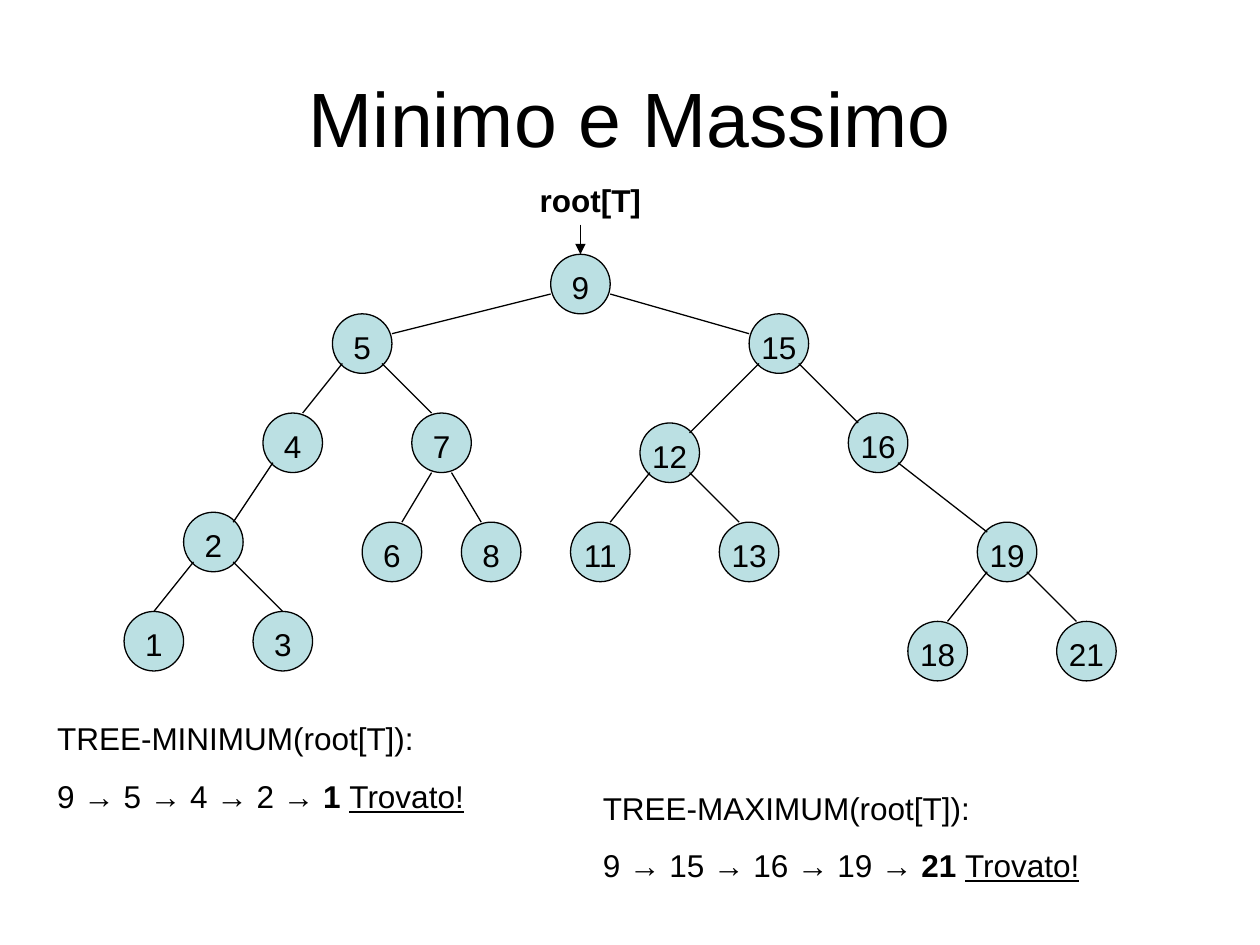
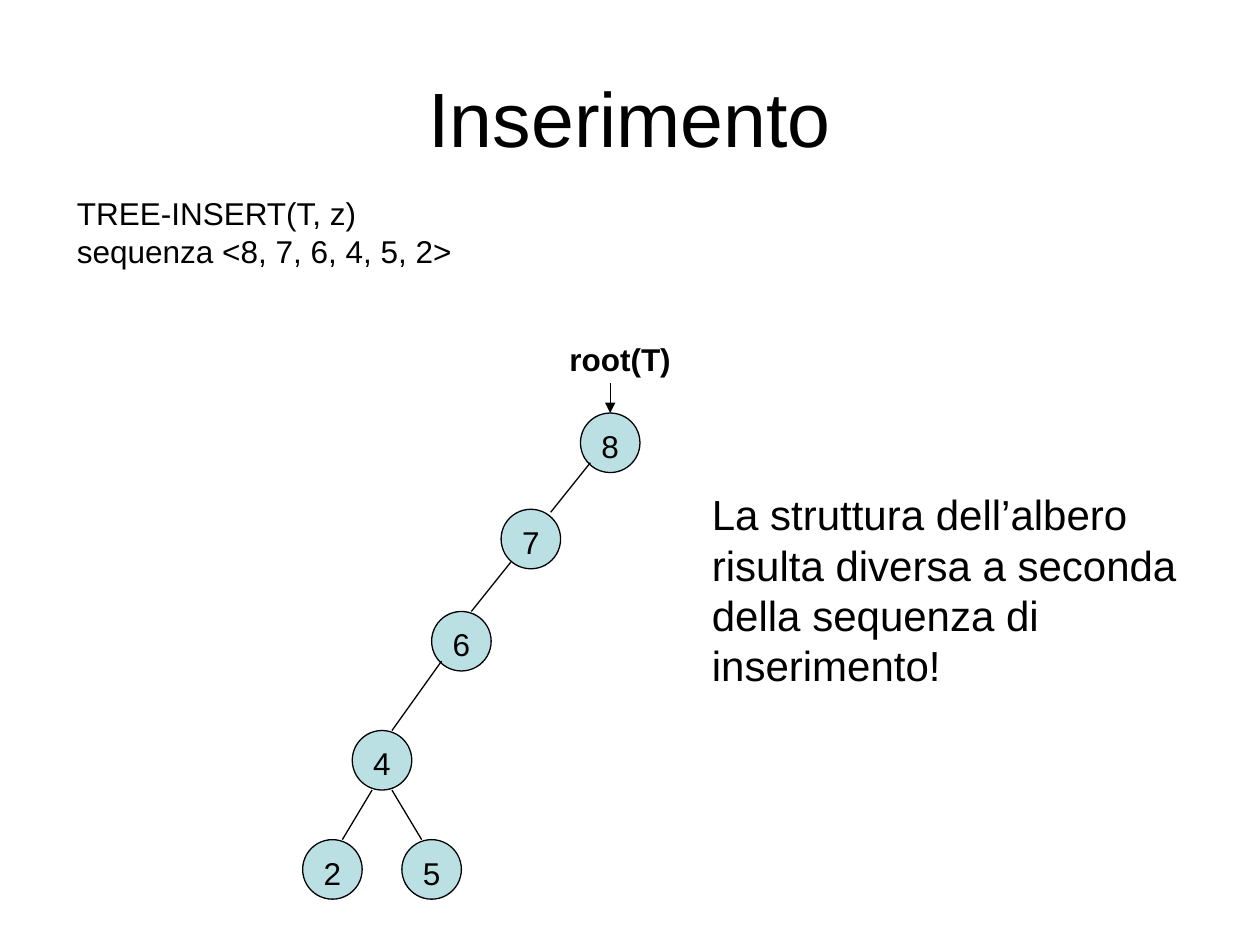
from lxml import etree
from pptx import Presentation
from pptx.dml.color import RGBColor
from pptx.enum.shapes import MSO_CONNECTOR, MSO_SHAPE
from pptx.enum.text import MSO_ANCHOR, PP_ALIGN
from pptx.oxml.ns import qn
from pptx.util import Inches, Mm, Pt

STRAIGHT = MSO_CONNECTOR.STRAIGHT
OVAL = MSO_SHAPE.OVAL
MIDDLE, TOP = MSO_ANCHOR.MIDDLE, MSO_ANCHOR.TOP
LEFT, CENTER = PP_ALIGN.LEFT, PP_ALIGN.CENTER

COLORS = {"ink": "000000", "node": "BBE0E3"}
FONT = "Arial"
CELL = Mm(2)
ORIGIN_X, ORIGIN_Y = Inches(0.04), Inches(0.05)
RADIUS = 3
TOP_SIDE = 0

TIGHT = {"line_spacing": 0.8, "space_before": Pt(4.5)}
LOOSE = {"space_before": Pt(11.2)}
WIDE_GAP = {"space_before": Pt(15)}

# Each joint: offset leaving the parent, offset arriving at the child.
JOINTS = {
    "wide": ((3, 1), (3, 1)),
    "diagonal": ((2, 2), (2, 2)),
    "bend": ((2, 2), (1, 3)),
    "steep": ((1, 3), (1, 3)),
    "top": ((2, 2), (0, 3)),
    "low": ((2, 2), (2, 2.7)),
    "late": ((2, 2.3), (1, 3)),
}

# Each node: value, column, row, parent, joint.
SEARCH_TREE = [
    (9, 58, 28, None, None),
    (5, 36, 34, 9, "wide"),
    (15, 78, 34, 9, "wide"),
    (4, 29, 44, 5, "bend"),
    (7, 44, 44, 5, "bend"),
    (12, 67, 45, 15, "diagonal"),
    (16, 88, 44, 15, "diagonal"),
    (2, 21, 54, 4, "diagonal"),
    (6, 39, 55, 7, "steep"),
    (8, 49, 55, 7, "steep"),
    (11, 60, 55, 12, "bend"),
    (13, 75, 55, 12, "bend"),
    (19, 101, 55, 16, "diagonal"),
    (1, 15, 64, 2, "top"),
    (3, 28, 64, 2, "top"),
    (18, 94, 65, 19, "bend"),
    (21, 109, 65, 19, "bend"),
]
INSERTED_TREE = [
    (8, 61, 44, None, None),
    (7, 53, 53.7, 8, "low"),
    (6, 46, 64, 7, "late"),
    (4, 38, 76, 6, "bend"),
    (2, 33, 87, 4, "steep"),
    (5, 43, 87, 4, "steep"),
]


def grid_x(column):
    """Return the horizontal position of a grid column."""
    return int(ORIGIN_X + column * CELL)


def grid_y(row):
    """Return the vertical position of a grid row."""
    return int(ORIGIN_Y + row * CELL)


def color(name):
    """Return a named colour."""
    return RGBColor.from_string(COLORS[name])


def apply_format(target, values):
    """Set every attribute listed in a dict."""
    for name, value in values.items():
        setattr(target, name, value)


def add_run(paragraph, text, size=18, **style):
    """Add a run in the shared font."""
    run = paragraph.add_run()
    run.text = text
    apply_format(run.font, {"name": FONT, "size": Pt(size), **style})
    run.font.color.rgb = color("ink")


def add_title_slide(presentation, title_text):
    """Add a title-only slide with its formatted title."""
    slide = presentation.slides.add_slide(presentation.slide_layouts[5])
    title = slide.shapes.title
    width, height = presentation.slide_width, presentation.slide_height
    apply_format(title, {"left": int(width * 0.05), "top": int(height * 0.04),
                         "width": int(width * 0.9), "height": Inches(1.25)})
    title.text_frame.vertical_anchor = MIDDLE
    paragraph = title.text_frame.paragraphs[0]
    paragraph.alignment = CENTER
    add_run(paragraph, title_text, 44)
    return slide


def add_text(slide, column, row, columns, rows, paragraphs, alignment=LEFT):
    """Add a text box from pairs of paragraph format and runs."""
    box = slide.shapes.add_textbox(grid_x(column), grid_y(row),
                                   int(columns * CELL), int(rows * CELL))
    frame = box.text_frame
    apply_format(frame, {"word_wrap": True, "vertical_anchor": TOP})
    for index, (spacing, runs) in enumerate(paragraphs):
        paragraph = frame.add_paragraph() if index else frame.paragraphs[0]
        apply_format(paragraph, {"alignment": alignment, **spacing})
        for text, style in runs:
            add_run(paragraph, text, **style)


def add_line(slide, start, end, arrow=False):
    """Add a thin line between two grid points."""
    line = slide.shapes.add_connector(STRAIGHT, grid_x(start[0]), grid_y(start[1]),
                                      grid_x(end[0]), grid_y(end[1]))
    line.line.color.rgb = color("ink")
    line.line.width = Pt(0.75)
    if arrow:
        etree.SubElement(line.line._get_or_add_ln(), qn("a:tailEnd"), type="triangle")
    etree.SubElement(line._element.spPr, qn("a:effectLst"))
    return line


def add_node(slide, value, column, row):
    """Add a numbered circle centred on a grid point."""
    node = slide.shapes.add_shape(OVAL, grid_x(column - RADIUS), grid_y(row - RADIUS),
                                  2 * RADIUS * CELL, 2 * RADIUS * CELL)
    node.shadow.inherit = False
    node.fill.solid()
    node.fill.fore_color.rgb = color("node")
    node.line.color.rgb = color("ink")
    node.line.width = Pt(0.75)
    apply_format(node.text_frame, {
        "margin_left": 0, "margin_right": 0, "margin_top": Inches(0.05),
        "margin_bottom": 0, "vertical_anchor": MIDDLE, "word_wrap": False})
    paragraph = node.text_frame.paragraphs[0]
    paragraph.alignment = CENTER
    add_run(paragraph, str(value))
    return node


def add_edge(slide, parent, child, joint, child_node):
    """Join a parent to its left or right child."""
    (leave_x, leave_y), (arrive_x, arrive_y) = JOINTS[joint]
    side = 1 if child[0] > parent[0] else -1
    edge = add_line(slide, (parent[0] + side * leave_x, parent[1] + leave_y),
                    (child[0] - side * arrive_x, child[1] - arrive_y))
    if arrive_x == 0:
        edge.end_connect(child_node, TOP_SIDE)


def add_tree(slide, tree, root_label):
    """Draw the nodes, the edges and the labelled root arrow."""
    centers = {value: (column, row) for value, column, row, _, _ in tree}
    nodes = {value: add_node(slide, value, *center) for value, center in centers.items()}
    for value, _, _, parent, joint in tree:
        if parent is not None:
            add_edge(slide, centers[parent], centers[value], joint, nodes[value])
    root = tree[0][0]
    column, row = centers[root]
    add_text(slide, column - 7, row - 11, 16, 5,
             [(LOOSE, [(root_label, {"bold": True})])], CENTER)
    arrow = add_line(slide, (column, row - 6), (column, row - RADIUS), arrow=True)
    arrow.end_connect(nodes[root], TOP_SIDE)


def add_search(slide, column, row, columns, call, visited, found):
    """Write a search call and the path of nodes it visits."""
    steps = "".join(f"{value} → " for value in visited)
    add_text(slide, column, row, columns, 10.2, [
        (TIGHT, [(call, {})]),
        (LOOSE, [(steps, {}), (f"{found} ", {"bold": True}),
                 ("Trovato!", {"underline": True})])])


def main():
    """Build and save the presentation."""
    presentation = Presentation()
    apply_format(presentation, {"slide_width": Inches(10), "slide_height": Inches(7.5)})

    slide = add_title_slide(presentation, "Minimo e Massimo")
    add_tree(slide, SEARCH_TREE, "root[T]")
    add_search(slide, 4, 72, 52, "TREE-MINIMUM(root[T]):", (9, 5, 4, 2), 1)
    add_search(slide, 59, 79, 62, "TREE-MAXIMUM(root[T]):", (9, 15, 16, 19), 21)

    slide = add_title_slide(presentation, "Inserimento")
    add_tree(slide, INSERTED_TREE, "root(T)")
    add_text(slide, 6, 19, 58, 8.2, [
        (TIGHT, [("TREE-INSERT(T, z)", {})]),
        (TIGHT, [("sequenza <8, 7, 6, 4, 5, 2>", {})])])
    add_text(slide, 70, 48, 51, 21.6, [
        (WIDE_GAP, [("La struttura dell’albero risulta diversa a seconda "
                     "della sequenza di inserimento!", {"size": 24})])])

    presentation.save("out.pptx")


if __name__ == "__main__":
    main()
